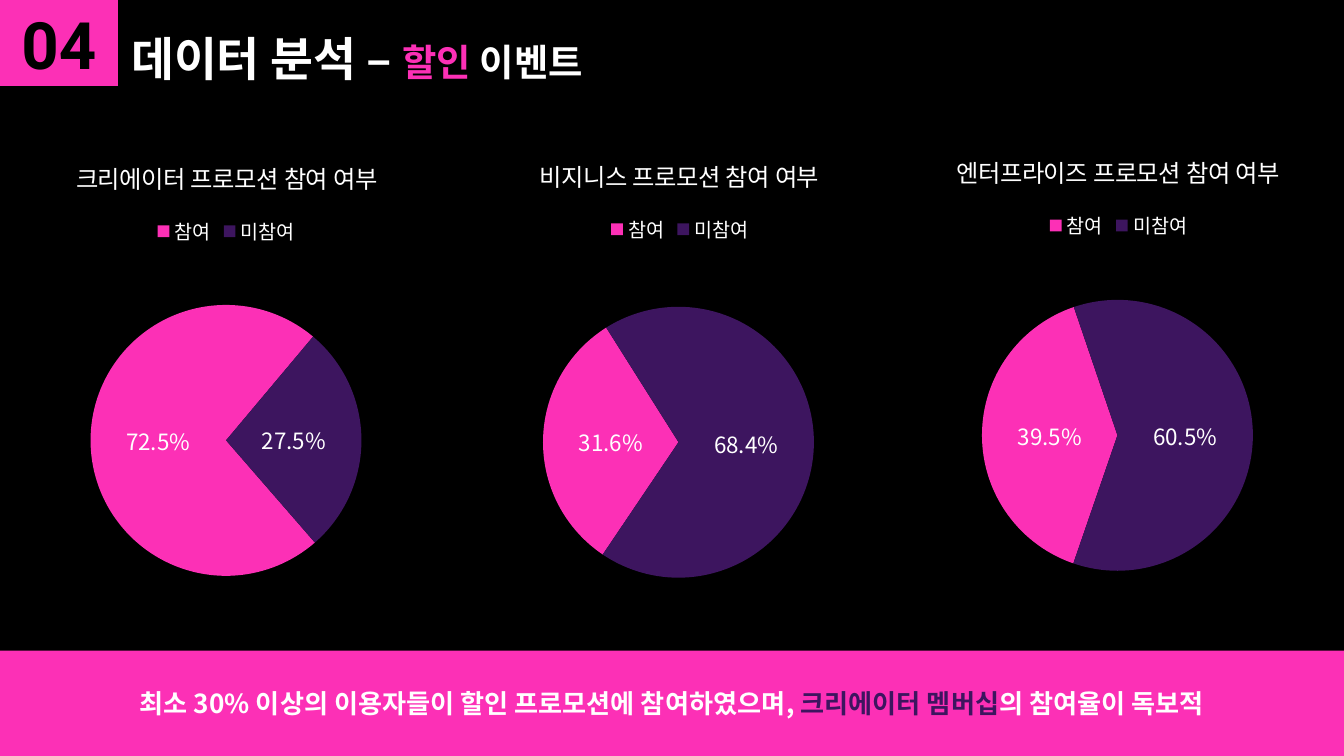
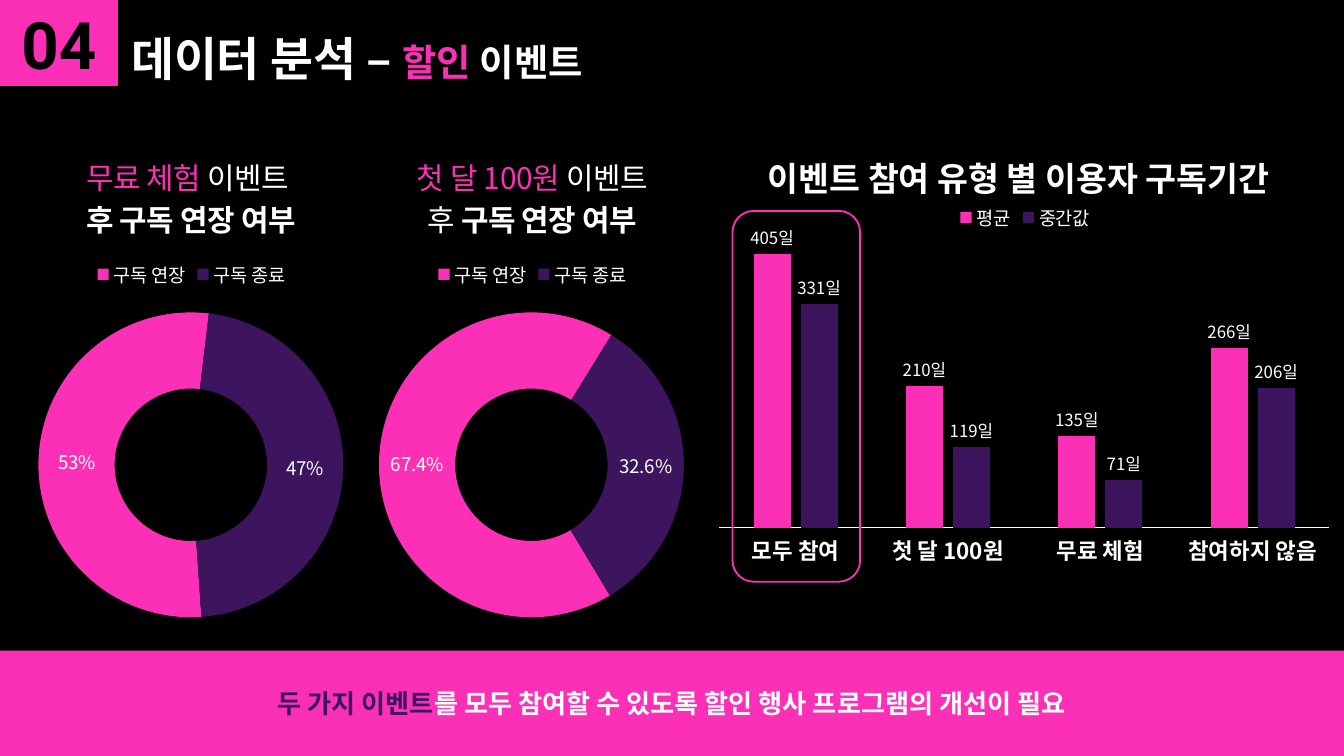
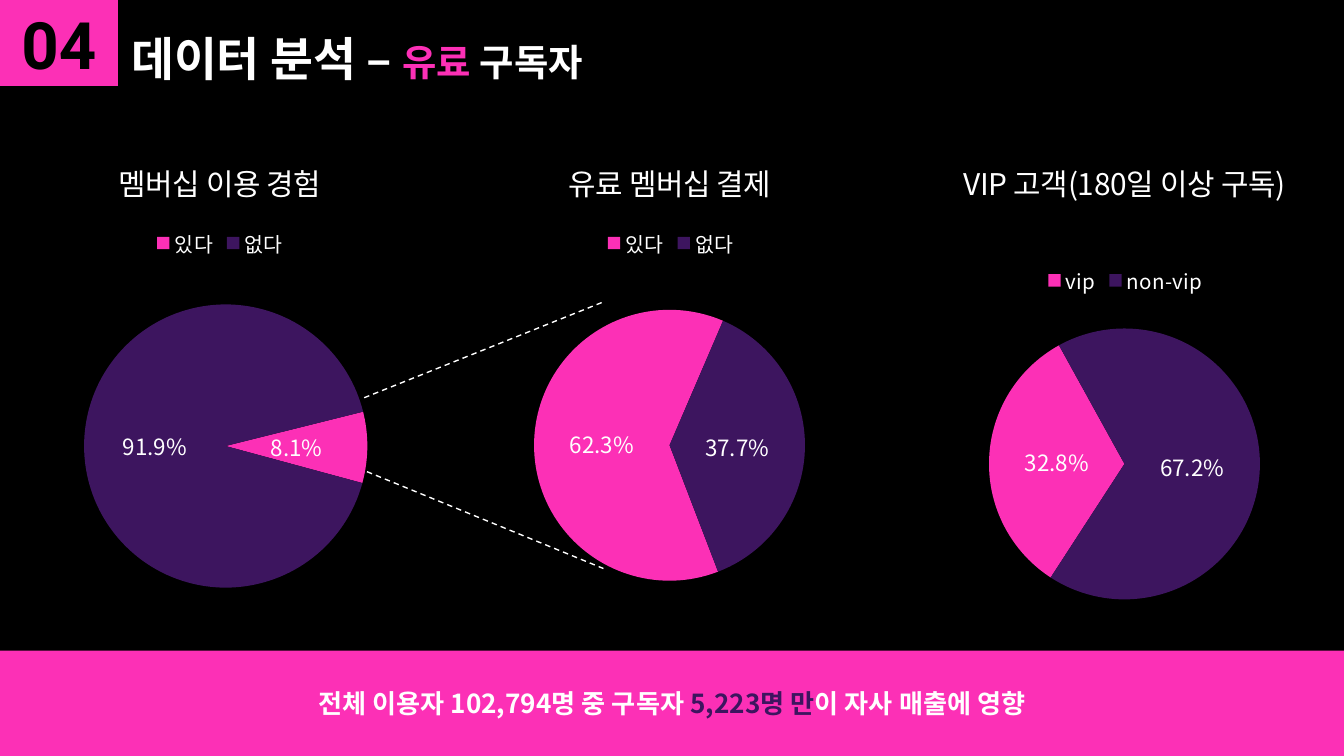
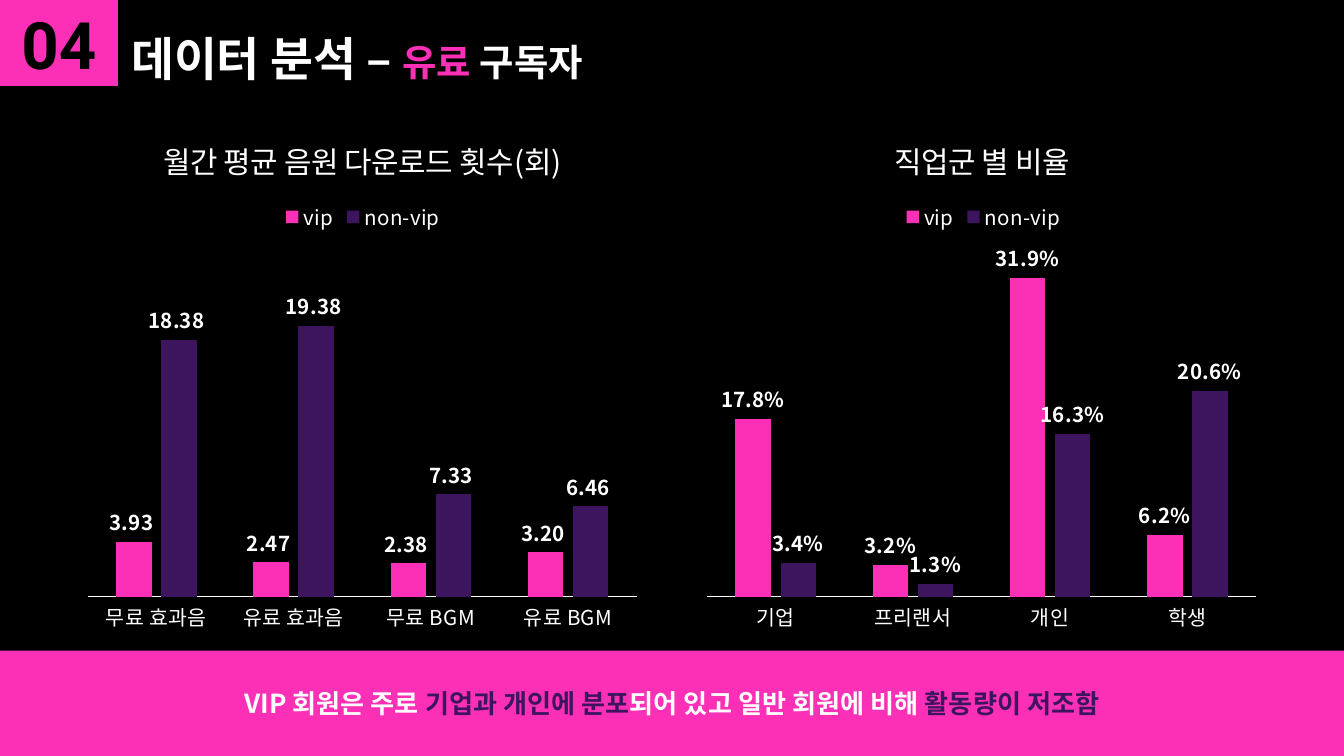
import pptx
import pptx.chart.data
import pptx.dml.color
import pptx.enum.chart
import pptx.enum.dml
import pptx.enum.shapes
import pptx.enum.text
import pptx.oxml
import pptx.oxml.ns
import pptx.util

Pt = pptx.util.Pt
qn = pptx.oxml.ns.qn
KINDS = pptx.enum.chart.XL_CHART_TYPE
SHAPES = pptx.enum.shapes.MSO_SHAPE
ANCHORS = pptx.enum.text.MSO_ANCHOR
LABEL_SPOTS = pptx.enum.chart.XL_LABEL_POSITION

COLOURS = {"black": "000000", "white": "FFFFFF", "pink": "FC30B6", "purple": "3D155F"}
SERIES_COLOURS = ("pink", "purple")
KOREAN, NUMERAL = "Noto Sans CJK KR", "Roboto"
PAGE_WIDTH, PAGE_HEIGHT = 720, 405
BADGE = (0, 0, 63.2, 46)
TITLE = (63.2, 0, 358.6, 46)
BAND = (0, 348.6, PAGE_WIDTH, PAGE_HEIGHT - 348.6)

# Boxes are left, top, width, height; "legend" is its left edge and middle height;
# "disc" is centre x, centre y and diameter.
DISCOUNT = {"pie": {"kind": KINDS.PIE, "title_size": 13, "legend_size": 10.5,
                    "cats": ["참여", "미참여"], "format": "0.0%", "label_size": 12},
            "ring": {"kind": KINDS.DOUGHNUT, "title_size": 16, "legend_size": 10,
                     "cats": ["구독 연장", "구독 종료"], "label_size": 10}}
PAID = {"pie": {"kind": KINDS.PIE, "title_size": 16, "legend_size": 11,
                "cats": ["있다", "없다"], "format": "0.0%", "label_size": 12},
        "columns": {"kind": KINDS.COLUMN_CLUSTERED, "title_size": 16, "legend_size": 11,
                    "names": ["vip", "non-vip"], "label_size": 11, "label_bold": True,
                    "axis_size": 11, "axis_bold": False, "gap": 160}}

PAGES = [
    {
        "topic": ("할인", " 이벤트"),
        "message": [("최소 30% 이상의 이용자들이 할인 프로모션에 참여하였으며, ", "white"),
                    ("크리에이터 멤버십", "purple"), ("의 참여율이 독보적", "white")],
        "charts": [
            {**DISCOUNT["pie"], "box": (0, 72.7, 242.6, 264.2),
             "title": [[("크리에이터 프로모션 참여 여부", "white", False)]],
             "values": [0.725, 0.275], "start": 139,
             "legend": (84, 124), "disc": (121.1, 236, 145.2)},
            {**DISCOUNT["pie"], "box": (242.6, 72, 242.6, 268.6),
             "title": [[("비지니스 프로모션 참여 여부", "white", False)]],
             "values": [0.316, 0.684], "start": 214,
             "legend": (327, 123), "disc": (363.5, 237, 145.2)},
            {**DISCOUNT["pie"], "box": (477.4, 69.8, 242.6, 265.7),
             "title": [[("엔터프라이즈 프로모션 참여 여부", "white", False)]],
             "values": [0.395, 0.605], "start": 199,
             "legend": (562, 121), "disc": (598.7, 233.3, 145.2)},
        ],
    },
    {
        "topic": ("할인", " 이벤트"),
        "message": [("두 가지 이벤트", "purple"),
                    ("를 모두 참여할 수 있도록 할인 행사 프로그램의 개선이 필요", "white")],
        "charts": [
            {"kind": KINDS.COLUMN_CLUSTERED, "box": (350.6, 65.5, 369.4, 275.8),
             "title": [[("이벤트 참여 유형 별 이용자 구독기간", "white", True)]],
             "title_size": 18, "title_at": (408, 76), "legend_size": 10,
             "cats": ["모두 참여", "첫 달 100원", "무료 체험", "참여하지 않음"],
             "names": ["평균", "중간값"],
             "values": [[405, 210, 135, 266], [331, 119, 71, 206]],
             "format": '###"일"', "label_size": 9, "axis_size": 12, "axis_bold": True,
             "gap": 185, "maximum": 450, "legend": (514.3, 117),
             "plot": (385.4, 119.6, 326.5, 163.2)},
            {**DISCOUNT["ring"], "box": (5, 70.6, 194.4, 270),
             "title": [[("무료 체험", "pink", False), (" 이벤트 ", "white", False)],
                       [("후 구독 연장 여부", "white", True)]],
             "values": [0.53, 0.47], "format": "0%", "start": 176,
             "legend": (52, 147.5), "disc": (102.3, 249.1, 163.4)},
            {**DISCOUNT["ring"], "box": (187.9, 70.6, 194.4, 270),
             "title": [[("첫 달 100원", "pink", False), (" 이벤트", "white", False)],
                       [("후 ", "white", False), ("구독 연장 여부", "white", True)]],
             "values": [0.674, 0.326], "format": "0.0%", "start": 149,
             "legend": (234.6, 147.5), "disc": (284.7, 249.1, 163.4)},
        ],
        "highlight": (392.4, 113, 68.4, 198.7),
    },
    {
        "topic": ("유료", " 구독자"),
        "message": [("전체 이용자 102,794명 중 구독자 ", "white"),
                    ("5,223명 만", "purple"), ("이 자사 매출에 영향", "white")],
        "charts": [
            {**PAID["pie"], "box": (-3.6, 72.7, 242.6, 264.2),
             "title": [[("멤버십 이용 경험", "white", False)]],
             "values": [0.081, 0.919], "start": 76,
             "legend": (83.6, 130), "disc": (121, 239, 151.8)},
            {**PAID["pie"], "box": (237.6, 72.7, 242.6, 264.2),
             "title": [[("유료 멤버십 결제", "white", False)]],
             "values": [0.623, 0.377], "start": 159,
             "legend": (325, 130), "disc": (358.7, 238.6, 145.2)},
            {**PAID["pie"], "box": (481, 72.7, 242.6, 264.2), "cats": ["vip", "non-vip"],
             "title": [[("VIP 고객(180일 이상 구독)", "white", False)]],
             "values": [0.328, 0.672], "start": 213,
             "legend": (561, 150), "disc": (602.4, 248.6, 145.2)},
        ],
        "zoom_lines": [(195.1, 213.1, 322.6, 162), (196.6, 252.7, 323.3, 304.6)],
    },
    {
        "topic": ("유료", " 구독자"),
        "message": [("VIP 회원은 주로 ", "white"), ("기업과 개인에 분포", "purple"),
                    ("되어 있고 일반 회원에 비해 ", "white"), ("활동량이 저조함", "purple")],
        "charts": [
            {**PAID["columns"], "box": (41, 60.5, 306, 283.7),
             "title": [[("월간 평균 음원 다운로드 횟수(회)", "white", False)]],
             "cats": ["무료 효과음", "유료 효과음", "무료 BGM", "유료 BGM"],
             "values": [[3.93, 2.47, 2.38, 3.2], [18.38, 19.38, 7.33, 6.46]],
             "format": "0.00_ ", "maximum": 25, "legend": (152.7, 116),
             "plot": (47.1, 132.3, 294.1, 187.5)},
            {**PAID["columns"], "box": (373, 60.5, 306, 283.7),
             "title": [[("직업군 별 비율", "white", False)]],
             "cats": ["기업", "프리랜서", "개인", "학생"],
             "values": [[0.178, 0.032, 0.319, 0.062], [0.034, 0.013, 0.163, 0.206]],
             "format": "0.0%", "maximum": 0.35, "legend": (485, 116),
             "plot": (378.8, 132.3, 294.1, 187.5)},
        ],
    },
]


def rgb(name):
    return pptx.dml.color.RGBColor.from_string(COLOURS[name])


def assign(target, values):
    for name, value in values.items():
        setattr(target, name, value)


def style_font(font, size, colour="white", bold=False, name=KOREAN):
    assign(font, {"name": name, "size": Pt(size), "bold": bold})
    font.color.rgb = rgb(colour)


def paint(format_owner, colour):
    format_owner.fill.solid()
    format_owner.fill.fore_color.rgb = rgb(colour)
    format_owner.line.fill.background()


def add_span(para, text, *style):
    span = para.add_run()
    span.text = text
    style_font(span.font, *style)


def set_frame(frame, anchor, bottom=7.2):
    assign(frame, {"word_wrap": True, "vertical_anchor": anchor, "margin_left": Pt(7.2),
                   "margin_right": Pt(7.2), "margin_top": Pt(7.2), "margin_bottom": Pt(bottom)})
    return frame.paragraphs[0]


def add_panel(page, bounds):
    """Add a pink rectangle and return its centred first paragraph."""
    panel = page.shapes.add_shape(SHAPES.RECTANGLE, *map(Pt, bounds))
    panel.shadow.inherit = False
    paint(panel, "pink")
    para = set_frame(panel.text_frame, ANCHORS.MIDDLE)
    para.alignment = pptx.enum.text.PP_ALIGN.CENTER
    return para


def add_frame(page, content):
    """Add the number badge, the title and the message band."""
    box = page.shapes.add_textbox(*map(Pt, TITLE))
    para = set_frame(box.text_frame, ANCHORS.BOTTOM, bottom=0)
    accent, rest = content["topic"]
    add_span(para, "데이터 분석 – ", 25, "white", True)
    add_span(para, accent, 20, "pink", True)
    add_span(para, rest, 20, "white", True)
    add_span(add_panel(page, BADGE), "04", 35, "black", True, NUMERAL)
    para = add_panel(page, BAND)
    for text, colour in content["message"]:
        add_span(para, text, 14, colour, True)


def place_part(parent, index, chart_box, at, inner=False):
    """Fix a chart part at a slide position given in points."""
    left, top, width, height = chart_box
    fields = [("layoutTarget", "inner")] if inner else []
    fields += [("xMode", "edge"), ("yMode", "edge")]
    shares = ((at[0] - left) / width, (at[1] - top) / height)
    if len(at) == 4:
        shares += (at[2] / width, at[3] / height)
    fields += [(name, f"{share:.4f}") for name, share in zip("xywh", shares)]
    for old in parent.findall(qn("c:layout")):
        parent.remove(old)
    inside = "".join(f'<c:{name} val="{value}"/>' for name, value in fields)
    parent.insert(index, pptx.oxml.parse_xml(
        f'<c:layout {pptx.oxml.ns.nsdecls("c")}><c:manualLayout>{inside}'
        '</c:manualLayout></c:layout>'))


def clear_background(chart):
    no_fill = (f'<c:spPr {pptx.oxml.ns.nsdecls("c", "a")}><a:noFill/>'
               '<a:ln><a:noFill/></a:ln></c:spPr>')
    chart.element.find(qn("c:chart")).addnext(pptx.oxml.parse_xml(no_fill))


def style_labels(series, content, spot):
    labels = series.data_labels
    assign(labels, {"show_value": True, "show_percentage": False,
                    "number_format": content["format"], "number_format_is_linked": False})
    if spot is not None:
        labels.position = spot
    style_font(labels.font, content["label_size"], bold=content.get("label_bold", False))


def style_round(chart, content):
    """Colour the slices and turn a pie or doughnut to its first angle."""
    plot = chart.plots[0]
    plot.vary_by_categories = True
    series = plot.series[0]
    for index, colour in enumerate(SERIES_COLOURS):
        paint(series.points[index].format, colour)
    is_pie = content["kind"] == KINDS.PIE
    style_labels(series, content, LABEL_SPOTS.CENTER if is_pie else None)
    group = chart.element.find(".//" + qn("c:pieChart" if is_pie else "c:doughnutChart"))
    angle = group.find(qn("c:firstSliceAng"))
    if angle is None:
        angle = group.makeelement(qn("c:firstSliceAng"), {})
        group.append(angle)
    angle.set("val", str(content["start"]))


def style_columns(chart, content):
    plot = chart.plots[0]
    assign(plot, {"vary_by_categories": False, "gap_width": content["gap"], "overlap": -27})
    for series, colour in zip(plot.series, SERIES_COLOURS):
        paint(series.format, colour)
        style_labels(series, content, LABEL_SPOTS.OUTSIDE_END)
    assign(chart.value_axis, {"visible": False, "has_major_gridlines": False,
                              "minimum_scale": 0, "maximum_scale": content["maximum"]})
    axis = chart.category_axis
    no_tick = pptx.enum.chart.XL_TICK_MARK.NONE
    assign(axis, {"major_tick_mark": no_tick, "minor_tick_mark": no_tick})
    axis.format.line.color.rgb = rgb("white")
    axis.format.line.width = Pt(0.75)
    style_font(axis.tick_labels.font, content["axis_size"], bold=content["axis_bold"])


def add_titled_chart(page, content):
    data = pptx.chart.data.CategoryChartData()
    data.categories = content["cats"]
    is_columns = "names" in content
    rows = zip(content["names"], content["values"]) if is_columns else [("Series 1", content["values"])]
    for name, values in rows:
        data.add_series(name, values)
    box = content["box"]
    chart = page.shapes.add_chart(content["kind"], *map(Pt, box), data).chart
    style_font(chart.font, 10, name="Arial")
    clear_background(chart)

    chart.has_title = True
    title = chart.chart_title
    for index, line in enumerate(content["title"]):
        frame = title.text_frame
        para = frame.paragraphs[0] if index == 0 else frame.add_paragraph()
        for text, colour, bold in line:
            add_span(para, text, content["title_size"], colour, bold)
    if "title_at" in content:
        place_part(chart.element.find(".//" + qn("c:title")), 1, box, content["title_at"])

    chart.has_legend = True
    legend = chart.legend
    assign(legend, {"position": pptx.enum.chart.XL_LEGEND_POSITION.TOP,
                    "include_in_layout": False})
    style_font(legend.font, content["legend_size"])
    left, middle = content["legend"]
    place_part(chart.element.find(".//" + qn("c:legend")), 1, box, (left - 3, middle - 10.5))

    if is_columns:
        style_columns(chart, content)
        plot_box = content["plot"]
    else:
        style_round(chart, content)
        x, y, size = content["disc"]
        plot_box = (x - size / 2, y - size / 2, size, size)
    place_part(chart.element.find(".//" + qn("c:plotArea")), 0, box, plot_box, inner=True)
    use_font_for_korean(chart.element)


def use_font_for_korean(root):
    for latin in list(root.iter(qn("a:latin"))):
        latin.addnext(latin.makeelement(qn("a:ea"), {"typeface": latin.get("typeface")}))


def add_highlight(page, bounds):
    outline = page.shapes.add_shape(SHAPES.ROUNDED_RECTANGLE, *map(Pt, bounds))
    outline.shadow.inherit = False
    outline.fill.background()
    outline.line.color.rgb = rgb("pink")
    outline.line.width = Pt(1)


def add_zoom_line(page, ends):
    line = page.shapes.add_connector(pptx.enum.shapes.MSO_CONNECTOR.STRAIGHT, *map(Pt, ends))
    line.line.color.rgb = rgb("white")
    assign(line.line, {"width": Pt(0.75), "dash_style": pptx.enum.dml.MSO_LINE.DASH})
    properties = line.element.find(qn("p:spPr"))
    properties.append(properties.makeelement(qn("a:effectLst"), {}))


def main():
    deck = pptx.Presentation()
    assign(deck, {"slide_width": Pt(PAGE_WIDTH), "slide_height": Pt(PAGE_HEIGHT)})
    for content in PAGES:
        page = deck.slides.add_slide(deck.slide_layouts[6])
        page.background.fill.solid()
        page.background.fill.fore_color.rgb = rgb("black")
        add_frame(page, content)
        for chart_content in content["charts"]:
            add_titled_chart(page, chart_content)
        if "highlight" in content:
            add_highlight(page, content["highlight"])
        for ends in content.get("zoom_lines", []):
            add_zoom_line(page, ends)
        use_font_for_korean(page.element)
    deck.save("out.pptx")


if __name__ == "__main__":
    main()
